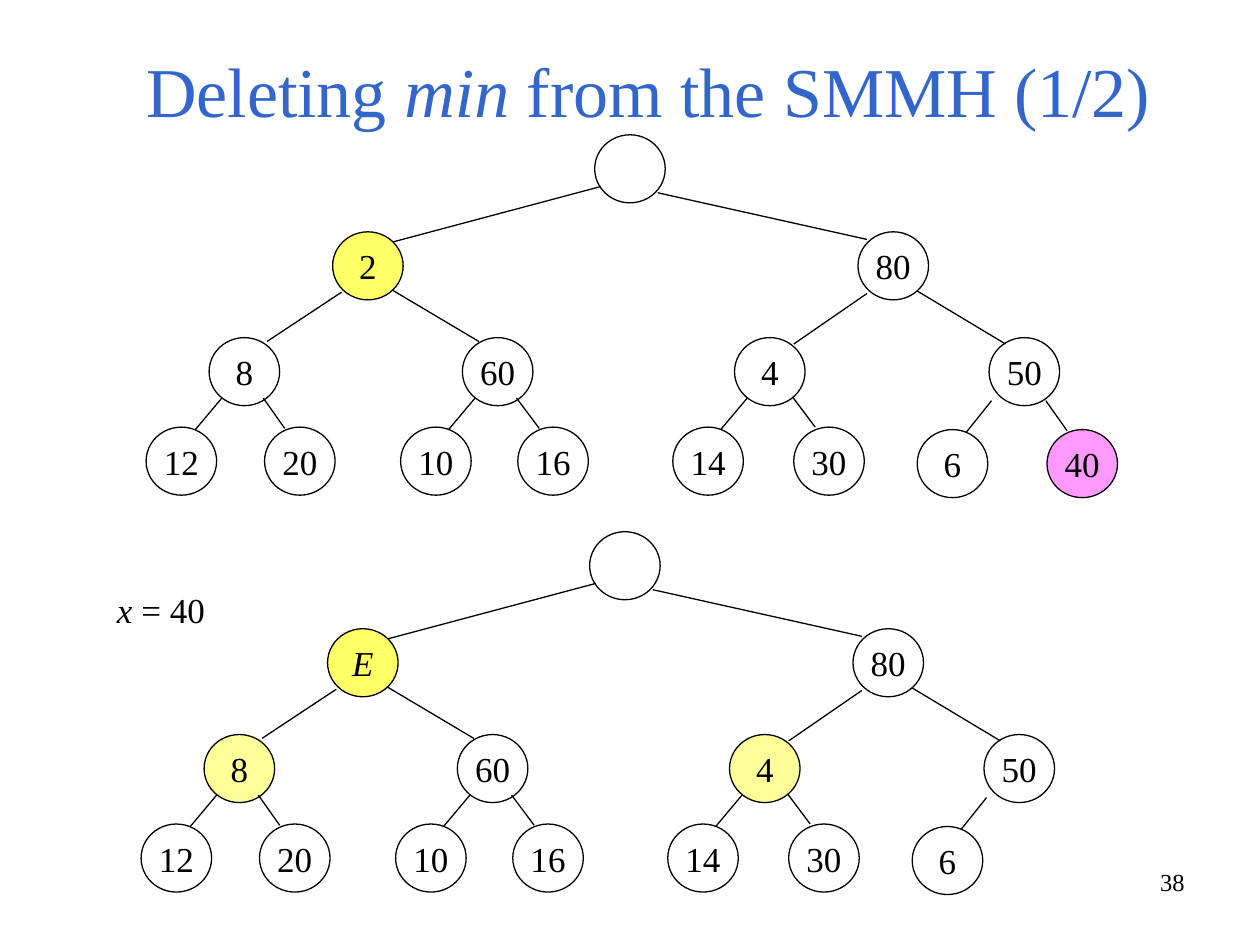
"""Build the slide that shows a min deletion on two SMMH trees."""
from dataclasses import dataclass, replace
from typing import Optional

from pptx import Presentation
from pptx.dml.color import RGBColor
from pptx.enum import shapes as kinds, text as txt
from pptx.oxml.ns import qn
from pptx.util import Inches, Pt

FACE = "Times New Roman"
BLACK, BLUE, WHITE = "000000", "3366CC", "FFFFFF"
YELLOW, PALE, PINK = "FFFF66", "FFFF99", "FF99FF"
WIDE, HIGH = 0.56, 0.54


@dataclass(frozen=True)
class Node:
    x: float
    y: float
    label: str
    edge: Optional[tuple[float, float, float, float]] = None
    fill: Optional[str] = None
    slant: bool = False


TREE = [
    Node(4.72, 1.07, ""),
    Node(2.64, 1.84, "2", (4.77, 1.48, 3.12, 1.92), YELLOW),
    Node(6.81, 1.84, "80", (5.22, 1.53, 6.88, 1.9), WHITE),
    Node(1.66, 2.68, "8", (2.71, 2.32, 2.12, 2.71)),
    Node(3.67, 2.68, "60", (3.11, 2.3, 3.8, 2.71)),
    Node(5.83, 2.68, "4", (6.88, 2.33, 6.3, 2.73)),
    Node(7.85, 2.68, "50", (7.28, 2.31, 7.98, 2.73), WHITE),
    Node(1.16, 3.39, "12", (1.76, 3.16, 1.55, 3.41)),
    Node(2.1, 3.39, "20", (2.09, 3.16, 2.26, 3.4)),
    Node(3.18, 3.39, "10", (3.77, 3.16, 3.56, 3.41)),
    Node(4.11, 3.39, "16", (4.1, 3.16, 4.28, 3.4)),
    Node(5.34, 3.39, "14", (5.93, 3.16, 5.72, 3.41)),
    Node(6.3, 3.39, "30", (6.29, 3.15, 6.47, 3.39)),
    Node(7.28, 3.41, "6", (7.87, 3.18, 7.67, 3.43)),
    Node(8.31, 3.41, "40", (8.3, 3.18, 8.47, 3.42), PINK),
]
CHANGES = {
    "2": {"label": "E", "slant": True},
    "8": {"fill": PALE},
    "4": {"fill": PALE},
}


def color(code: str) -> RGBColor:
    return RGBColor.from_string(code)


def write(para, runs: list[tuple[str, bool]], size: float, align, ink: str = BLACK) -> None:
    para.alignment = align
    font = para.font
    font.name, font.size = FACE, Pt(size)
    font.color.rgb = color(ink)
    for words, slant in runs:
        run = para.add_run()
        run.text = words
        if slant:
            run.font.italic = True


def draw_node(slide, node: Node, dx: float, dy: float) -> None:
    oval = slide.shapes.add_shape(
        kinds.MSO_SHAPE.OVAL, Inches(node.x + dx), Inches(node.y + dy), Inches(WIDE), Inches(HIGH))
    oval.shadow.inherit = False
    oval.line.color.rgb = color(BLACK)
    oval.line.width = Pt(0.75)
    if node.fill:
        oval.fill.solid()
        oval.fill.fore_color.rgb = color(node.fill)
    else:
        oval.fill.background()
    if node.label:
        frame = oval.text_frame
        frame.word_wrap = False
        frame.vertical_anchor = txt.MSO_ANCHOR.MIDDLE
        write(frame.paragraphs[0], [(node.label, node.slant)], 20, txt.PP_ALIGN.CENTER)


def draw_edge(slide, edge: tuple[float, float, float, float], dx: float, dy: float) -> None:
    x1, y1, x2, y2 = edge
    line = slide.shapes.add_connector(
        kinds.MSO_CONNECTOR.STRAIGHT,
        Inches(x1 + dx), Inches(y1 + dy), Inches(x2 + dx), Inches(y2 + dy))
    line.line.color.rgb = color(BLACK)
    line.line.width = Pt(0.75)
    props = line._element.spPr
    props.append(props.makeelement(qn("a:effectLst"), {}))


def draw_tree(slide, nodes: list[Node], dx: float = 0, dy: float = 0) -> None:
    for node in nodes:
        draw_node(slide, node, dx, dy)
    for node in nodes:
        if node.edge:
            draw_edge(slide, node.edge, dx, dy)


def add_note(slide, box: tuple[float, float, float, float], runs: list[tuple[str, bool]],
             size: float, align) -> None:
    frame = slide.shapes.add_textbox(*map(Inches, box)).text_frame
    frame.word_wrap = True
    write(frame.paragraphs[0], runs, size, align)


def add_title(slide) -> None:
    title = slide.shapes.title
    title.left, title.top, title.width, title.height = map(Inches, (0.75, 0.35, 8.79, 0.74))
    frame = title.text_frame
    frame.auto_size = txt.MSO_AUTO_SIZE.NONE
    frame.vertical_anchor = txt.MSO_ANCHOR.BOTTOM
    runs = [("Deleting ", False), ("min", True), (" from the SMMH (1/2)", False)]
    write(frame.paragraphs[0], runs, 40, txt.PP_ALIGN.CENTER, BLUE)


def main() -> None:
    deck = Presentation()
    deck.slide_width, deck.slide_height = Inches(10), Inches(7.5)
    slide = deck.slides.add_slide(deck.slide_layouts[5])
    add_title(slide)
    draw_tree(slide, TREE)
    after = [replace(node, **CHANGES.get(node.label, {})) for node in TREE[:-1]]
    draw_tree(slide, after, -0.04, 3.15)
    add_note(slide, (0.83, 4.62, 1.02, 0.44), [("x", True), (" = 40", False)], 20, txt.PP_ALIGN.LEFT)
    add_note(slide, (7.17, 6.83, 2.33, 0.52), [("38", False)], 14, txt.PP_ALIGN.RIGHT)
    deck.save("out.pptx")


if __name__ == "__main__":
    main()
